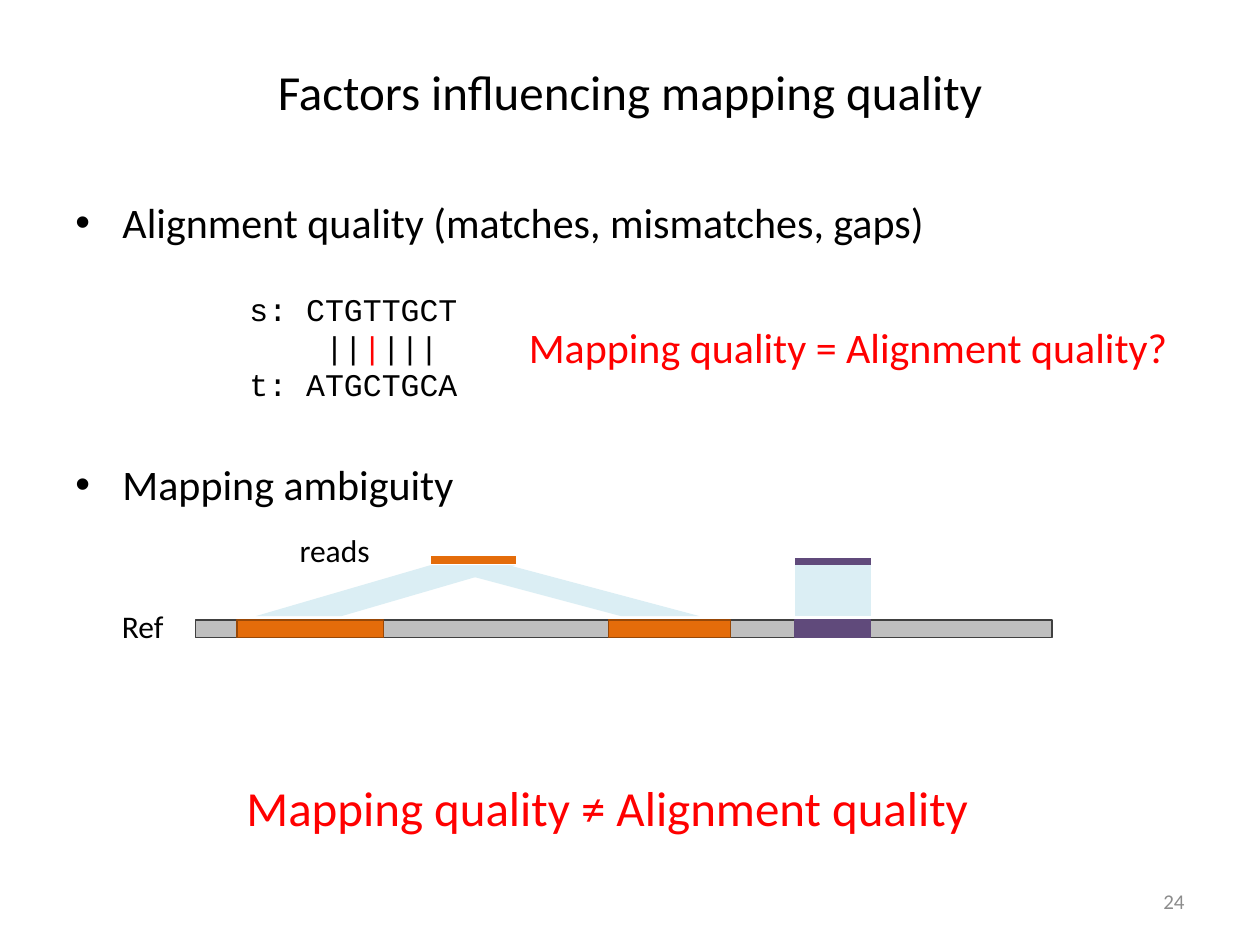
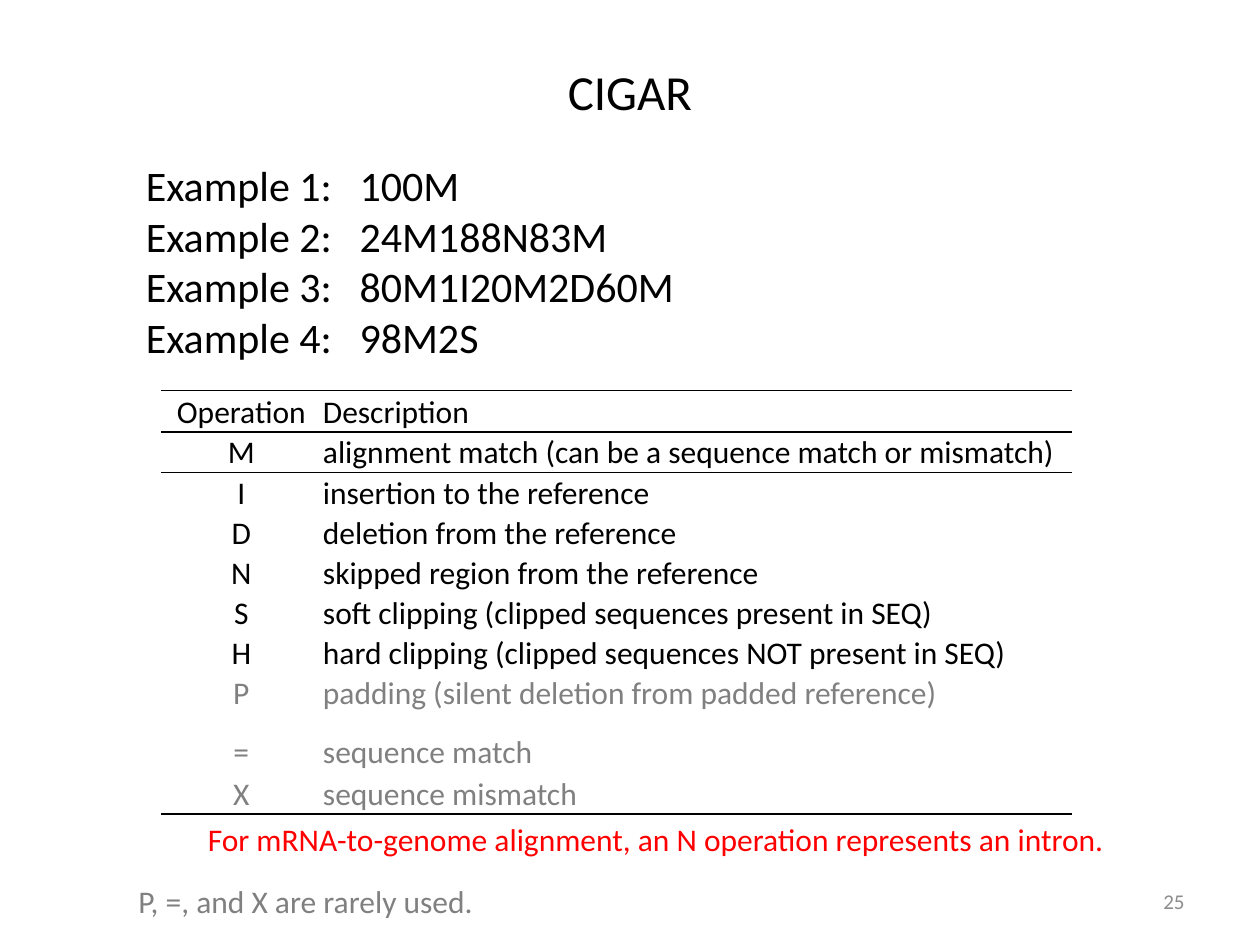
from dataclasses import dataclass

from lxml.etree import SubElement
from pptx import Presentation
from pptx.dml.color import RGBColor
from pptx.enum.shapes import MSO_CONNECTOR as Connector, MSO_SHAPE as Shape
from pptx.enum.text import MSO_ANCHOR as Anchor, MSO_AUTO_SIZE as AutoSize, PP_ALIGN as Align
from pptx.oxml.ns import qn
from pptx.util import Cm, Pt


@dataclass(frozen=True)
class Theme:
    font: str = "Calibri"
    code_font: str = "Courier New"
    title_size: int = 28
    body_size: int = 24
    small_size: int = 18
    number_size: int = 12
    text: str = "000000"
    accent: str = "FF0000"
    muted: str = "808080"
    number: str = "8C8C8C"
    reference: str = "BFBFBF"
    reference_line: str = "404040"
    repeat: str = "E46C0A"
    repeat_line: str = "984807"
    unique: str = "604A7B"
    link: str = "DBEEF4"


THEME = Theme()
NO_TABLE_STYLE = "{2D5ABB26-0587-4C30-8999-92F81FD0307C}"
OPERATIONS = [
    ("Operation", "Description"),
    ("M", "alignment match (can be a sequence match or mismatch)"),
    ("I", "insertion to the reference"),
    ("D", "deletion from the reference"),
    ("N", "skipped region from the reference"),
    ("S", "soft clipping (clipped sequences present in SEQ)"),
    ("H", "hard clipping (clipped sequences NOT present in SEQ)"),
    ("P", "padding (silent deletion from padded reference)"),
    ("=", "sequence match"),
    ("X", "sequence mismatch"),
]
RARE_OPERATIONS = ("P", "=", "X")
EXAMPLES = ["100M", "24M188N83M", "80M1I20M2D60M", "98M2S"]


def rgb(color):
    return RGBColor.from_string(color)


def apply(target, values):
    for name, value in values.items():
        setattr(target, name, value)


def place(shape, box):
    apply(shape, dict(zip(("left", "top", "width", "height"), map(Cm, box))))


def write(paragraph, runs, size, color=THEME.text, font=THEME.font, align=Align.LEFT):
    paragraph.alignment = align
    for text, run_color in [(runs, color)] if isinstance(runs, str) else runs:
        run = paragraph.add_run()
        run.text = text
        apply(run.font, {"name": font, "size": Pt(size), "bold": False})
        run.font.color.rgb = rgb(run_color)


def add_text(slide, box, lines, size, wrap=False, anchor=Anchor.TOP, **style):
    frame = slide.shapes.add_textbox(*map(Cm, box)).text_frame
    apply(frame, {"word_wrap": wrap, "auto_size": AutoSize.NONE, "vertical_anchor": anchor})
    for index, runs in enumerate(lines):
        paragraph = frame.add_paragraph() if index else frame.paragraphs[0]
        write(paragraph, runs, size, **style)
    return frame


def add_bullet(slide, box, text):
    frame = add_text(slide, box, [text], THEME.body_size, wrap=True)
    properties = frame.paragraphs[0]._p.get_or_add_pPr()
    properties.set("marL", str(Cm(0.95)))
    properties.set("indent", str(-Cm(0.95)))
    SubElement(properties, qn("a:buFont"), typeface="Arial")
    SubElement(properties, qn("a:buChar"), char="•")


def add_tab_stop(paragraph, position):
    tabs = SubElement(paragraph._p.get_or_add_pPr(), qn("a:tabLst"))
    SubElement(tabs, qn("a:tab"), pos=str(Cm(position)), algn="l")


def add_block(slide, box, fill, line=None, kind=Shape.RECTANGLE):
    shape = slide.shapes.add_shape(kind, *map(Cm, box))
    shape.shadow.inherit = False
    shape.fill.solid()
    shape.fill.fore_color.rgb = rgb(fill)
    if line:
        shape.line.color.rgb = rgb(line)
        shape.line.width = Pt(0.75)
    else:
        shape.line.fill.background()
    return shape


def add_link(slide, left, width, slant, mirrored=False):
    shape = add_block(slide, (left, 11.4, width, 1.02), THEME.link, kind=Shape.PARALLELOGRAM)
    shape.adjustments[0] = slant
    if mirrored:
        shape._element.spPr.find(qn("a:xfrm")).set("flipH", "1")


def add_read(slide, left, right, top, color):
    line = slide.shapes.add_connector(Connector.STRAIGHT, Cm(left), Cm(top), Cm(right), Cm(top))
    line.line.color.rgb = rgb(color)
    line.line.width = Pt(4.5)
    SubElement(line._element.spPr, qn("a:effectLst"))


def add_border(cell, side, width):
    line = SubElement(cell._tc.get_or_add_tcPr(), qn(f"a:{side}"), w=str(Pt(width)))
    fill = SubElement(line, qn("a:solidFill"))
    SubElement(fill, qn("a:srgbClr"), val=THEME.text)


def add_operation_table(slide):
    widths = [3.23, 15.14]
    heights = [0.84] + [0.81] * 7 + [1.19, 0.84]
    box = (3.25, 7.87, sum(widths), sum(heights))
    table = slide.shapes.add_table(len(heights), len(widths), *map(Cm, box)).table
    apply(table, {"first_row": False, "horz_banding": False})
    table._tbl.tblPr.find(qn("a:tableStyleId")).text = NO_TABLE_STYLE
    for column, width in zip(table.columns, widths):
        column.width = Cm(width)
    borders = {0: [("lnT", 0.5), ("lnB", 1)], 1: [("lnT", 1)], len(heights) - 1: [("lnB", 1)]}
    for row, (height, operation) in enumerate(zip(heights, OPERATIONS)):
        table.rows[row].height = Cm(height)
        color = THEME.muted if operation[0] in RARE_OPERATIONS else THEME.text
        for column, (text, align) in enumerate(zip(operation, (Align.CENTER, Align.LEFT))):
            cell = table.cell(row, column)
            for side, width in borders.get(row, []):
                add_border(cell, side, width)
            cell.fill.background()
            apply(cell, {"vertical_anchor": Anchor.BOTTOM, "margin_left": Cm(0.03),
                         "margin_right": Cm(0.03), "margin_top": Cm(0.03), "margin_bottom": 0})
            write(cell.text_frame.paragraphs[0], text, THEME.small_size, color, align=align)


def add_titled_slide(presentation, title, number):
    slide = presentation.slides.add_slide(presentation.slide_layouts[5])
    heading = slide.shapes.title
    place(heading, (1.27, 0.76, 22.86, 2.16))
    heading.text_frame.vertical_anchor = Anchor.MIDDLE
    write(heading.text_frame.paragraphs[0], title, THEME.title_size, align=Align.CENTER)
    add_text(slide, (18.21, 17.65, 5.92, 1.02), [str(number)], THEME.number_size, wrap=True,
             anchor=Anchor.MIDDLE, color=THEME.number, align=Align.RIGHT)
    return slide


def add_ambiguity_diagram(slide):
    segments = [
        (3.94, 17.27, THEME.reference, THEME.reference_line),
        (4.78, 2.95, THEME.repeat, THEME.repeat_line),
        (12.27, 2.46, THEME.repeat, THEME.repeat_line),
        (16.03, 1.52, THEME.unique, THEME.unique),
    ]
    for left, width, fill, line in segments:
        add_block(slide, (left, 12.5, width, 0.36), fill, line)
    add_read(slide, 16.03, 17.55, 11.33, THEME.unique)
    add_read(slide, 8.69, 10.41, 11.28, THEME.repeat)
    add_link(slide, 5.16, 5.23, 3.43)
    add_link(slide, 8.69, 5.41, 3.75, mirrored=True)
    add_link(slide, 16.03, 1.52, 0)
    add_text(slide, (5.79, 10.59, 1.96, 1.02), ["reads"], THEME.small_size)
    add_text(slide, (2.21, 12.12, 1.4, 1.02), ["Ref"], THEME.small_size)


def build_quality_slide(presentation):
    slide = add_titled_slide(presentation, "Factors influencing mapping quality", 24)
    add_bullet(slide, (1.27, 3.84, 22.86, 1.88), "Alignment quality (matches, mismatches, gaps)")
    matches = [("    ||", THEME.text), ("|", THEME.accent), ("|||", THEME.text)]
    add_text(slide, (4.78, 5.72, 4.75, 2.57), ["s: CTGTTGCT", matches, "t: ATGCTGCA"],
             THEME.small_size, font=THEME.code_font)
    add_text(slide, (10.41, 6.35, 13.51, 1.27), ["Mapping quality = Alignment quality?"],
             THEME.body_size, color=THEME.accent)
    add_bullet(slide, (1.27, 9.12, 11.2, 1.45), "Mapping ambiguity")
    add_ambiguity_diagram(slide)
    add_text(slide, (4.72, 15.54, 15.24, 1.45), ["Mapping quality ≠ Alignment quality"],
             THEME.title_size, color=THEME.accent)


def build_cigar_slide(presentation):
    slide = add_titled_slide(presentation, "CIGAR", 25)
    lines = [f"Example {number}:\t{code}" for number, code in enumerate(EXAMPLES, 1)]
    frame = add_text(slide, (2.69, 3.1, 11.3, 4.37), lines, THEME.body_size, wrap=True)
    for paragraph in frame.paragraphs:
        add_tab_stop(paragraph, 4.31)
    add_operation_table(slide)
    add_text(slide, (3.94, 16.41, 18.92, 1.02),
             ["For mRNA-to-genome alignment, an N operation represents an intron."],
             THEME.small_size, wrap=True, color=THEME.accent)
    add_text(slide, (2.54, 17.65, 7.44, 1.02), ["P, =, and X are rarely used."],
             THEME.small_size, color=THEME.muted)


def main():
    presentation = Presentation()
    apply(presentation, {"slide_width": Cm(25.4), "slide_height": Cm(19.05)})
    build_quality_slide(presentation)
    build_cigar_slide(presentation)
    presentation.save("out.pptx")


if __name__ == "__main__":
    main()
